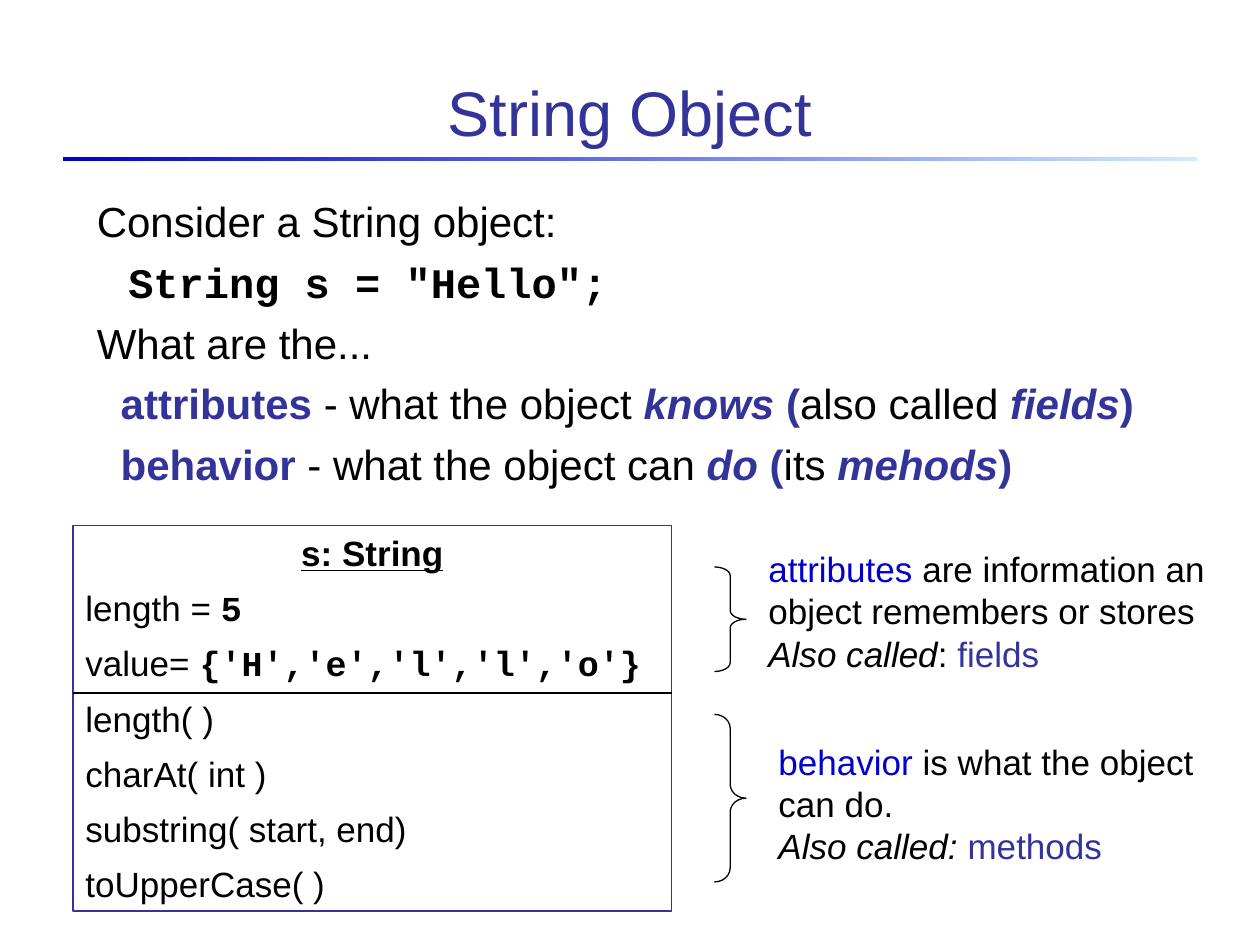
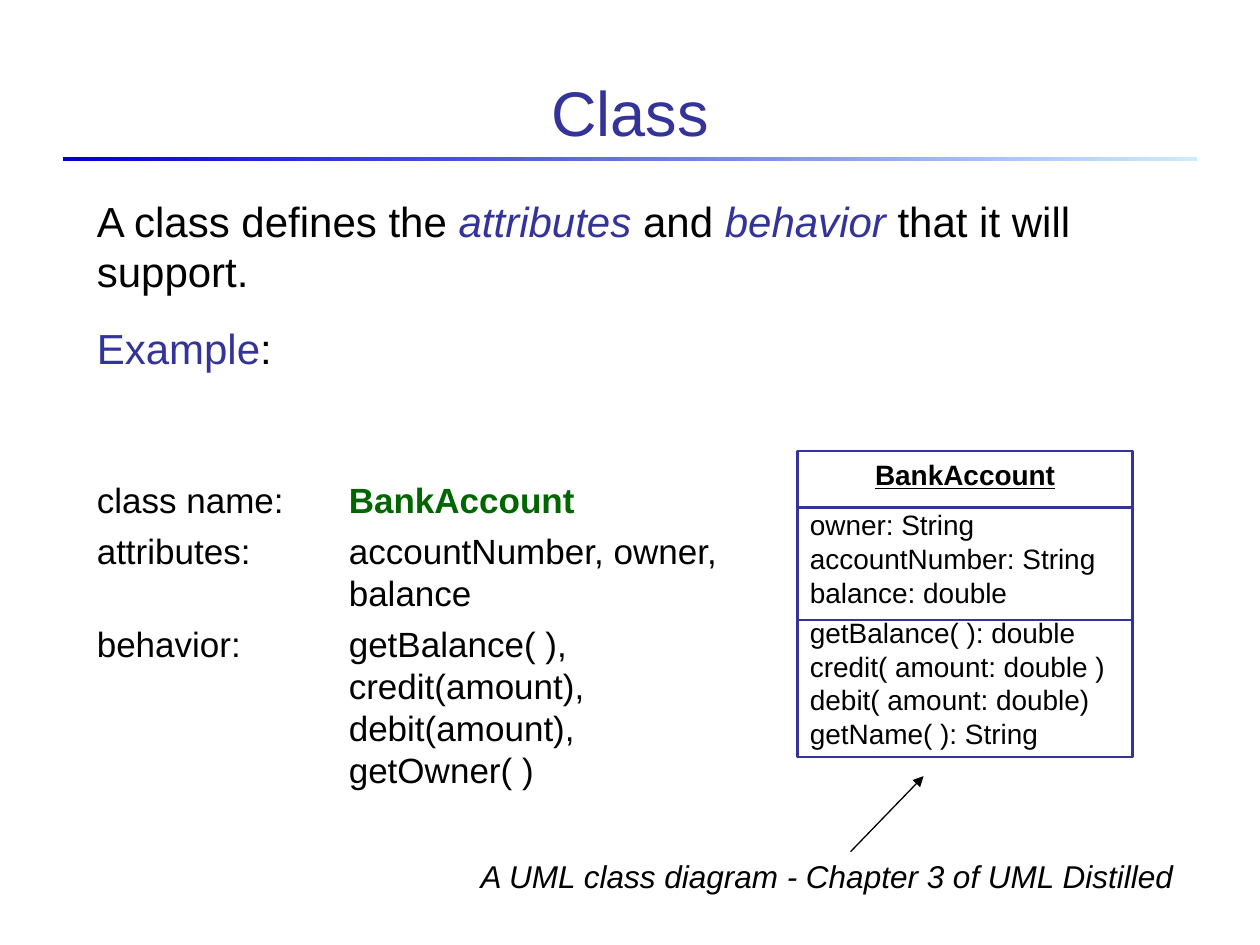
from lxml.etree import SubElement
from pptx import Presentation
from pptx.dml.color import RGBColor
from pptx.enum.shapes import MSO_CONNECTOR, MSO_SHAPE
from pptx.enum.text import MSO_ANCHOR, MSO_AUTO_SIZE, PP_ALIGN
from pptx.oxml.ns import qn
from pptx.util import Inches, Pt

COLORS = {
    "title": "333399",
    "text": "000000",
    "blue": "0000CC",
    "pale": "CCECFF",
    "green": "006600",
}
FONT, CODE_FONT = "Arial", "Courier New"

STYLES = {
    "plain": {},
    "bold": {"bold": True},
    "italic": {"italic": True},
    "heading": {"bold": True, "underline": True},
    "code": {"bold": True, "font": CODE_FONT},
    "accent": {"color": "title"},
    "accent bold": {"color": "title", "bold": True},
    "accent italic": {"color": "title", "italic": True},
    "accent strong": {"color": "title", "bold": True, "italic": True},
    "blue": {"color": "blue"},
    "green": {"color": "green", "bold": True},
}

STRING_INTRO = [
    {"runs": ["Consider a String object:"]},
    {"runs": [('String s = "Hello";', "code")], "before": 6, "left": 0.25},
    {"runs": ["What are the..."], "before": 6},
    {"runs": [("attributes", "accent bold"), " - what the object ",
              ("knows ", "accent strong"), ("(", "accent bold"), "also called",
              (" fields", "accent strong"), (")", "accent bold")],
     "before": 6, "left": 0.19},
    {"runs": [("behavior", "accent bold"), " - what the object can ",
              ("do ", "accent strong"), ("(", "accent bold"), "its",
              (" mehods", "accent strong"), (")", "accent bold")],
     "before": 6, "left": 0.19},
]
STRING_MEMBERS = [
    ["length = ", ("5", "code")],
    ["value= ", ("{'H','e','l','l','o'}", "code")],
    ["length( )"],
    ["charAt( int )"],
    ["substring( start, end)"],
    ["toUpperCase( )"],
]
STRING_OBJECT = [{"runs": [("s: String", "heading")], "align": PP_ALIGN.CENTER}] + [
    {"runs": runs, "before": 7.5} for runs in STRING_MEMBERS
]
ATTRIBUTES_NOTE = [
    {"runs": [("attributes", "blue"), " are information an object remembers or stores ",
              ("Also called", "italic"), ": ", ("fields", "accent")]},
]
BEHAVIOR_NOTE = [
    {"runs": [("behavior", "blue"), " is what the object can do."]},
    {"runs": [("Also called: ", "italic"), ("methods", "accent")]},
]
BRACES = [(4.5, 0.83), (5.67, 1.33)]

CLASS_INTRO = [
    {"runs": ["A class defines the ", ("attributes", "accent italic"), " and ",
              ("behavior", "accent italic"), " that it will support."]},
    {"runs": [("Example", "accent"), ":"], "before": 15},
]
CLASS_PARTS = [
    {"runs": ["class name:\t", ("BankAccount", "green")], "left": 2, "first": -2},
    {"runs": ["attributes:\taccountNumber, owner, balance"],
     "left": 2, "first": -2, "before": 5},
    {"runs": ["behavior:\tgetBalance( ), credit(amount), debit(amount),"],
     "left": 2, "first": -2, "before": 5},
    {"runs": ["getOwner( )"], "left": 2},
]
UML_SECTIONS = [
    ["owner: String", "accountNumber: String", "balance: double"],
    ["getBalance( ): double", "credit( amount: double )",
     "debit( amount: double)", "getName( ): String"],
]
UML_CLASS = [
    {"runs": [("BankAccount", "heading")], "align": PP_ALIGN.CENTER, "after": 5.8},
] + [
    {"runs": [member], "before": 0 if index else 4}
    for section in UML_SECTIONS
    for index, member in enumerate(section)
]
UML_CAPTION = [
    {"runs": [("A UML class diagram - Chapter 3 of UML Distilled", "italic")],
     "align": PP_ALIGN.RIGHT},
]


def color(name):
    return RGBColor.from_string(COLORS[name])


def format_font(font, size, style):
    font.name = style.get("font", FONT)
    font.size = Pt(size)
    font.bold = style.get("bold", False)
    font.italic = style.get("italic", False)
    font.underline = style.get("underline", False)
    font.color.rgb = color(style.get("color", "text"))


def fill_paragraph(paragraph, content, size):
    paragraph.alignment = content.get("align", PP_ALIGN.LEFT)
    paragraph.space_before = Pt(content.get("before", 0))
    paragraph.space_after = Pt(content.get("after", 0))
    properties = paragraph._p.get_or_add_pPr()
    properties.set("marL", str(Inches(content.get("left", 0))))
    properties.set("indent", str(Inches(content.get("first", 0))))
    for item in content["runs"]:
        text, style = (item, "plain") if isinstance(item, str) else item
        run = paragraph.add_run()
        run.text = text
        format_font(run.font, size, STYLES[style])


def add_text(shapes, box, contents, size, outline=None):
    place = [Inches(length) for length in box]
    if outline:
        shape = shapes.add_shape(MSO_SHAPE.RECTANGLE, *place)
        shape.shadow.inherit = False
        shape.fill.background()
        shape.line.color.rgb = color("title")
        shape.line.width = Pt(outline)
    else:
        shape = shapes.add_textbox(*place)
    text_frame = shape.text_frame
    text_frame.word_wrap = True
    text_frame.auto_size = MSO_AUTO_SIZE.NONE
    text_frame.vertical_anchor = MSO_ANCHOR.TOP
    for index, content in enumerate(contents):
        paragraph = text_frame.add_paragraph() if index else text_frame.paragraphs[0]
        fill_paragraph(paragraph, content, size)


def add_line(shapes, start, end, line_color, width, arrow=False):
    points = [Inches(length) for length in (*start, *end)]
    connector = shapes.add_connector(MSO_CONNECTOR.STRAIGHT, *points)
    connector.line.color.rgb = color(line_color)
    connector.line.width = Pt(width)
    if arrow:
        SubElement(connector.line._get_or_add_ln(), qn("a:tailEnd"), type="triangle")
    SubElement(connector._element.spPr, qn("a:effectLst"))


def add_brace(shapes, top, height):
    width = 0.25
    brace = shapes.add_shape(MSO_SHAPE.RIGHT_BRACE, Inches(5.67), Inches(top),
                             Inches(width), Inches(height))
    brace.adjustments[0] = height / width / 12
    brace.shadow.inherit = False
    brace.fill.background()
    brace.line.color.rgb = color("text")
    brace.line.width = Pt(0.75)


def add_slide(presentation, heading):
    slide = presentation.slides.add_slide(presentation.slide_layouts[5])
    title = slide.shapes.title
    title.left, title.top = Inches(0.67), Inches(0.28)
    title.width, title.height = Inches(8.66), Inches(0.95)
    title.text_frame.text = heading
    title.text_frame.auto_size = MSO_AUTO_SIZE.NONE
    title.text_frame.vertical_anchor = MSO_ANCHOR.BOTTOM
    paragraph = title.text_frame.paragraphs[0]
    paragraph.alignment = PP_ALIGN.CENTER
    format_font(paragraph.runs[0].font, 36, STYLES["accent"])

    band = slide.shapes.add_shape(MSO_SHAPE.RECTANGLE, Inches(0.5), Inches(1.25),
                                  Inches(9), Inches(0.03))
    band.shadow.inherit = False
    band.line.fill.background()
    band.fill.gradient()
    band.fill.gradient_angle = 0
    for stop, name in zip(band.fill.gradient_stops, ("blue", "pale")):
        stop.color.rgb = color(name)
    return slide


def build_string_slide(presentation):
    shapes = add_slide(presentation, "String Object").shapes
    add_text(shapes, (0.67, 1.5, 8.66, 2.6), STRING_INTRO, 24)
    add_text(shapes, (0.58, 4.17, 4.75, 3.06), STRING_OBJECT, 20, outline=0.75)
    add_line(shapes, (0.58, 5.5), (5.33, 5.5), "text", 0.75)
    add_text(shapes, (6, 4.3, 3.67, 1.1), ATTRIBUTES_NOTE, 20)
    add_text(shapes, (6.08, 5.83, 3.75, 1.1), BEHAVIOR_NOTE, 20)
    for top, height in BRACES:
        add_brace(shapes, top, height)


def build_class_slide(presentation):
    shapes = add_slide(presentation, "Class").shapes
    add_text(shapes, (0.67, 1.5, 8.66, 2.08), CLASS_INTRO, 24)
    add_text(shapes, (0.67, 3.75, 5.83, 2.58), CLASS_PARTS, 20)
    diagram = shapes.add_group_shape().shapes
    left, width = 6.33, 2.66
    add_text(diagram, (left, 3.58, width, 2.43), UML_CLASS, 16, outline=1.5)
    for divider in (4.03, 4.92):
        add_line(diagram, (left, divider), (left + width, divider), "title", 1.5)
    add_line(shapes, (6.75, 6.76), (7.33, 6.16), "text", 0.75, arrow=True)
    add_text(shapes, (2.83, 6.75, 6.58, 0.4), UML_CAPTION, 18)


def main():
    presentation = Presentation()
    presentation.slide_width, presentation.slide_height = Inches(10), Inches(7.5)
    build_string_slide(presentation)
    build_class_slide(presentation)
    presentation.save("out.pptx")


if __name__ == "__main__":
    main()
